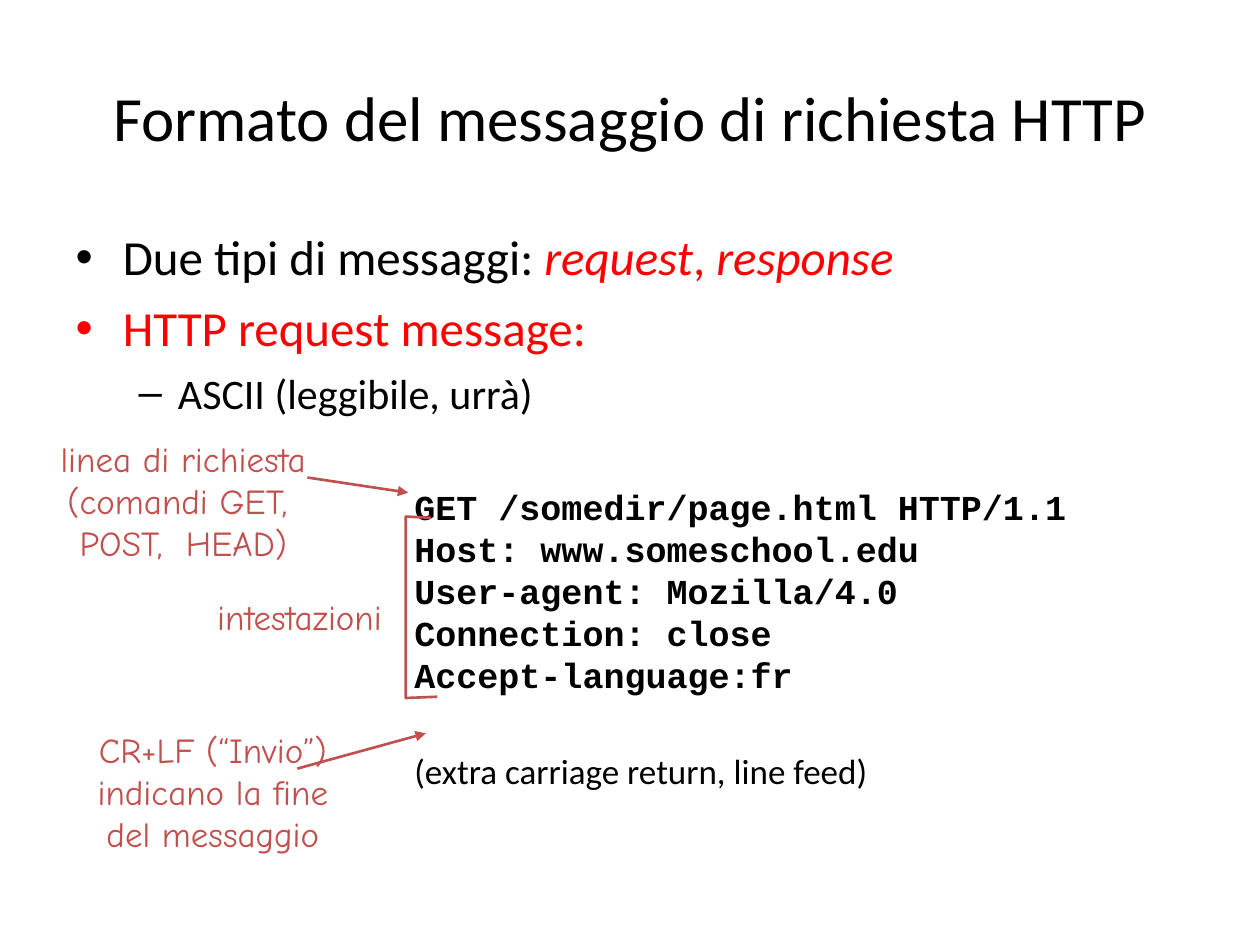
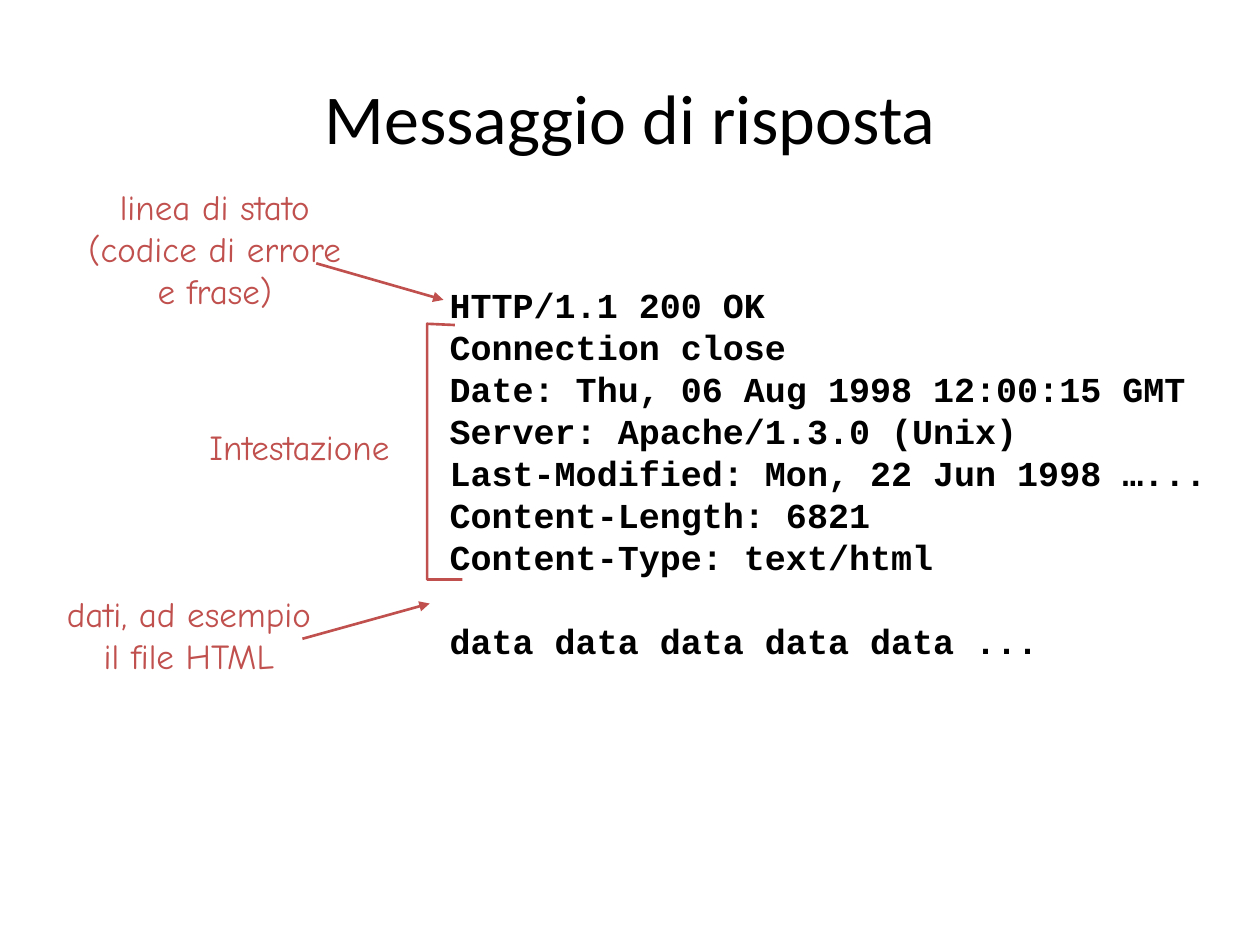
from dataclasses import dataclass

from lxml import etree
from pptx import Presentation
from pptx.dml.color import RGBColor
from pptx.enum.shapes import MSO_CONNECTOR
from pptx.enum.text import MSO_ANCHOR, MSO_AUTO_SIZE, PP_ALIGN
from pptx.oxml.ns import qn
from pptx.util import Pt

PX = 9144  # EMU in one px, 100 px to the inch
STRAIGHT = MSO_CONNECTOR.STRAIGHT
LEFT, CENTER, RIGHT = PP_ALIGN.LEFT, PP_ALIGN.CENTER, PP_ALIGN.RIGHT
MIDDLE = MSO_ANCHOR.MIDDLE
FIT_SHAPE, NO_FIT = MSO_AUTO_SIZE.SHAPE_TO_FIT_TEXT, MSO_AUTO_SIZE.NONE


@dataclass(frozen=True)
class Theme:
    ink: str = "000000"
    red: str = "FF0000"
    note: str = "C0504D"
    text_font: str = "Calibri"
    note_font: str = "Comic Neue"
    code_font: str = "Courier New"
    bullet_sizes: tuple = (28, 24)
    bullet_gaps: tuple = (7, 6)
    label_size: int = 20
    line_pitch: int = 24
    line_width: float = 1.5


THEME = Theme()
TITLE_BOX = (50, 30, 900, 125)
BODY_BOX = (50, 175, 900, 495)
INSETS = (10, 8, 10, 2)  # left, top, right, bottom

# Bullets: (level, [(text, colour, italic)])
# Code lines: (text, font, bold, space before in points)
# Notes: (box, alignment, lines)
SLIDES = [
    {
        "title": ("Formato del messaggio di richiesta HTTP", 36),
        "bullets": [
            (0, [("Due tipi di messaggi: ", THEME.ink, False),
                 ("request", THEME.red, True),
                 (", ", THEME.red, False),
                 ("response", THEME.red, True)]),
            (0, [("HTTP request message:", THEME.red, False)]),
            (1, [("ASCII (leggibile, urrà)", THEME.ink, False)]),
        ],
        "code_box": (319, 377, 538, 257),
        "code": [
            ("GET /somedir/page.html HTTP/1.1", THEME.code_font, True, 0),
            ("Host: www.someschool.edu", THEME.code_font, True, 0),
            ("User-agent: Mozilla/4.0", THEME.code_font, True, 0),
            ("Connection: close", THEME.code_font, True, 0),
            ("Accept-language:fr", THEME.code_font, True, 0),
            ("(extra carriage return, line feed)", THEME.text_font, False, 31),
        ],
        "notes": [
            ((38, 339, 215, 110), CENTER,
             ["linea di richiesta", "(comandi GET, ", "POST,  HEAD)"]),
            ((161, 465, 152, 44), RIGHT, ["intestazioni"]),
            ((63, 570, 212, 110), CENTER,
             ["CR+LF (“Invio”)", "indicano la fine ", "del messaggio"]),
        ],
        "arrows": [(244, 379, 324, 391), (236, 610, 338, 582)],
        "bracket": [(342, 411), (322, 410), (322, 554), (347, 553)],
    },
    {
        "title": ("Messaggio di risposta", 40),
        "bullets": [],
        "code_box": (347, 217, 638, 310),
        "code": [
            ("HTTP/1.1 200 OK", THEME.code_font, True, 0),
            ("Connection close", THEME.code_font, True, 0),
            ("Date: Thu, 06 Aug 1998 12:00:15 GMT", THEME.code_font, True, 0),
            ("Server: Apache/1.3.0 (Unix)", THEME.code_font, True, 0),
            ("Last-Modified: Mon, 22 Jun 1998 …...", THEME.code_font, True, 0),
            ("Content-Length: 6821", THEME.code_font, True, 0),
            ("Content-Type: text/html", THEME.code_font, True, 0),
            ("data data data data data ...", THEME.code_font, True, 24),
        ],
        "notes": [
            ((60, 139, 221, 110), CENTER,
             ["linea di stato", "(codice di errore", "e frase)"]),
            ((155, 330, 164, 44), RIGHT, ["Intestazione"]),
            ((43, 462, 214, 77), CENTER, ["dati, ad esempio", "il file HTML"]),
        ],
        "arrows": [(251, 209, 352, 238), (240, 507, 341, 479)],
        "bracket": [(361, 258), (339, 257), (339, 460), (367, 460)],
    },
]


def emu(*lengths):
    return [length * PX for length in lengths]


def place(sp, box):
    sp.left, sp.top, sp.width, sp.height = emu(*box)


def add_run(p, text, size, font, color, bold=False, italic=False):
    r = p.add_run()
    r.text = text
    f = r.font
    f.size, f.name, f.bold, f.italic = Pt(size), font, bold, italic
    f.color.rgb = RGBColor.from_string(color)


def paragraphs(tf, items):
    """Yield a paragraph with each item, using the frame's first one first."""
    for i, item in enumerate(items):
        yield (tf.add_paragraph() if i else tf.paragraphs[0]), item


def set_title(slide, text, size):
    sp = slide.shapes.title
    place(sp, TITLE_BOX)
    tf = sp.text_frame
    tf.vertical_anchor, tf.auto_size = MIDDLE, NO_FIT
    p = tf.paragraphs[0]
    p.alignment = CENTER
    add_run(p, text, size, THEME.text_font, THEME.ink)


def set_bullets(slide, bullets):
    sp = slide.placeholders[1]
    place(sp, BODY_BOX)
    tf = sp.text_frame
    tf.auto_size = NO_FIT
    for p, (level, runs) in paragraphs(tf, bullets):
        p.level = level
        first = p is tf.paragraphs[0] or len(tf.paragraphs) == 1
        p.space_before = Pt(0 if first else THEME.bullet_gaps[level])
        for text, color, italic in runs:
            add_run(p, text, THEME.bullet_sizes[level], THEME.text_font,
                    color, italic=italic)


def add_label(slide, box, align, color, lines):
    tf = slide.shapes.add_textbox(*emu(*box)).text_frame
    tf.word_wrap, tf.auto_size = False, FIT_SHAPE
    (tf.margin_left, tf.margin_top,
     tf.margin_right, tf.margin_bottom) = emu(*INSETS)
    for p, (text, font, bold, gap) in paragraphs(tf, lines):
        p.alignment = align
        p.line_spacing = Pt(THEME.line_pitch)
        if gap:
            p.space_before = Pt(gap)
        add_run(p, text, THEME.label_size, font, color, bold)


def style_line(line):
    line.color.rgb = RGBColor.from_string(THEME.note)
    line.width = Pt(THEME.line_width)


def add_arrow(slide, ends):
    sp = slide.shapes.add_connector(STRAIGHT, *emu(*ends))
    style_line(sp.line)
    etree.SubElement(sp.line._get_or_add_ln(), qn("a:tailEnd"), type="triangle")
    etree.SubElement(sp._element.spPr, qn("a:effectLst"))


def add_bracket(slide, points):
    builder = slide.shapes.build_freeform(*points[0], scale=PX)
    builder.add_line_segments(points[1:], close=False)
    sp = builder.convert_to_shape()
    sp.fill.background()
    sp.shadow.inherit = False
    style_line(sp.line)


def main():
    prs = Presentation()
    prs.slide_width, prs.slide_height = emu(1000, 750)
    title_and_body, title_only = prs.slide_layouts[1], prs.slide_layouts[5]
    for content in SLIDES:
        bullets = content["bullets"]
        slide = prs.slides.add_slide(title_and_body if bullets else title_only)
        set_title(slide, *content["title"])
        if bullets:
            set_bullets(slide, bullets)
        add_label(slide, content["code_box"], LEFT, THEME.ink, content["code"])
        for box, align, lines in content["notes"]:
            add_label(slide, box, align, THEME.note,
                      [(text, THEME.note_font, False, 0) for text in lines])
        for ends in content["arrows"]:
            add_arrow(slide, ends)
        add_bracket(slide, content["bracket"])
    prs.save("out.pptx")


if __name__ == "__main__":
    main()
